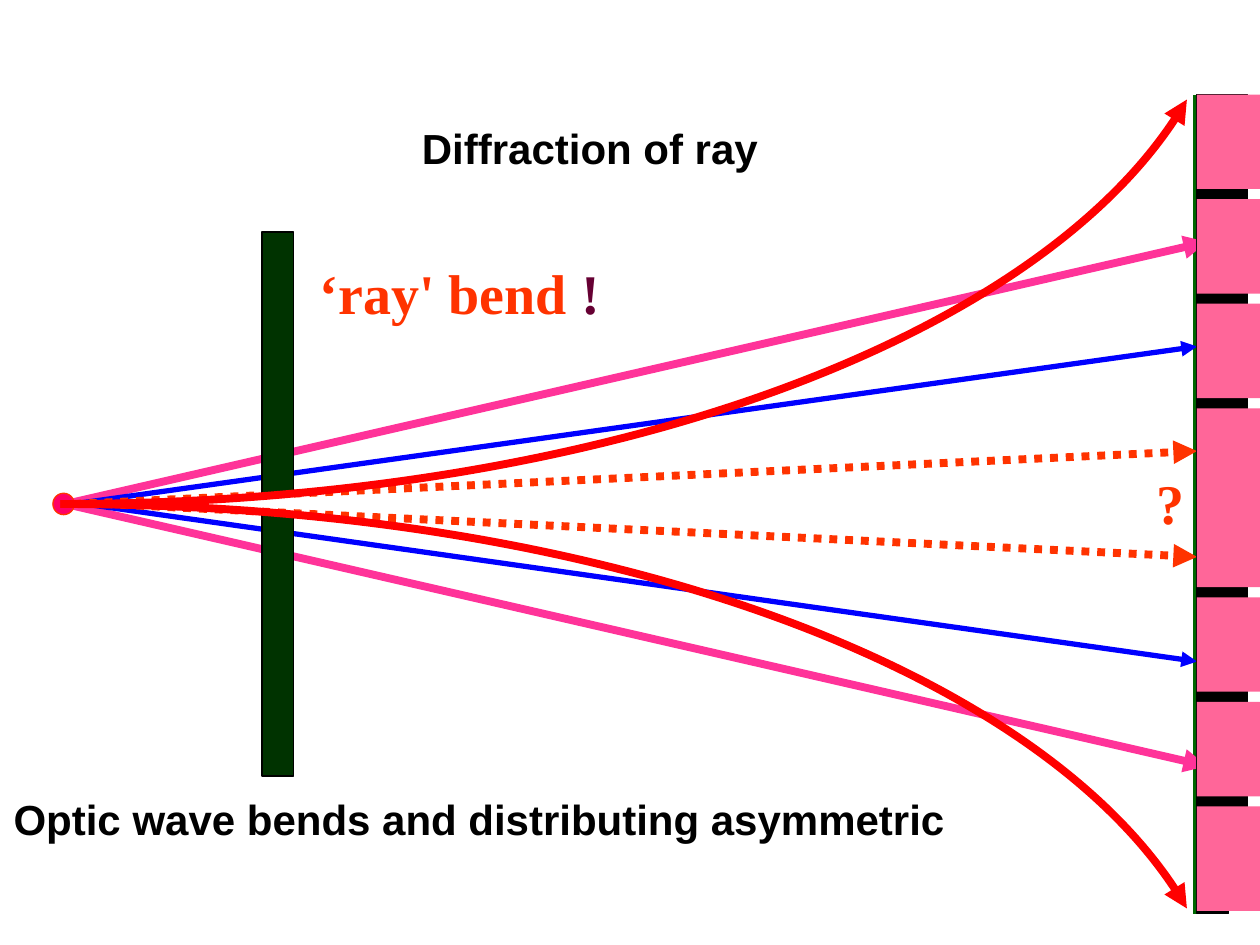
from lxml import etree
from pptx import Presentation
from pptx.dml.color import RGBColor
from pptx.enum.dml import MSO_LINE
from pptx.enum.shapes import MSO_CONNECTOR, MSO_SHAPE
from pptx.oxml.ns import qn
from pptx.util import Inches, Pt

STRAIGHT = MSO_CONNECTOR.STRAIGHT
RECTANGLE, OVAL = MSO_SHAPE.RECTANGLE, MSO_SHAPE.OVAL
DOTTED = MSO_LINE.ROUND_DOT

WIDTH, HEIGHT = 10, 7.5
AXIS = 4
SCREEN_X, SCREEN_TOP, SCREEN_BOTTOM = 9.5, 0.75, 7.25
SOURCE_SIZE = 0.17
SLIT_X, SLIT_WIDTH, SLIT_HEIGHT, SLIT_GAP = 2.08, 0.25, 2.08, 0.08
BAND_WIDTH, BAND_GAP = 0.5, 0.08
BAND_HEIGHTS = [0.75, 0.75, 0.75, 1.42, 0.75, 0.75, 0.83]
CURVE_START, CURVE_END, CURVE_RISE = 0.48, 9.42, 3.21
CURVE_CONTROLS = [(4.76, 0), (8.36, 1.36)]

RAYS = [
    (0.52, 0.52, 9.58, 2.08, "FF3399", 4.5, False),
    (0.58, 0.67, SCREEN_X, 1.25, "0000FF", 3, False),
    (0.58, 0.83, SCREEN_X, 0.42, "FF3300", 4.5, True),
]
SANS = {"name": "Arial", "size": Pt(24), "bold": True}
SERIF = {"name": "Times New Roman", "size": Pt(32), "bold": True}
TEXTS = [
    (3.25, 0.92, 3.75, 0.5, True, SANS, [("Diffraction of ray", "000000")]),
    (9.08, 3.67, 0.42, 0.63, False, SERIF, [("?", "FF3300")]),
    (2.44, 2, 4.23, 0.63, True, SERIF, [("‘ray' bend", "FF3300"), (" !", "660033")]),
    (0.01, 6.25, 8.66, 0.5, True, SANS,
     [("Optic wave bends and distributing asymmetric", "000000")]),
]


def color(value):
    return RGBColor.from_string(value)


def style_line(line, value, width):
    line.color.rgb = color(value)
    line.width = Pt(width)


def add_arrowhead(line):
    etree.SubElement(line._get_or_add_ln(), qn("a:tailEnd"), type="triangle")


def add_line(page, start, end, value, width, dotted=False, arrow=True):
    points = [Inches(number) for number in (*start, *end)]
    connector = page.shapes.add_connector(STRAIGHT, *points)
    style_line(connector.line, value, width)
    if dotted:
        connector.line.dash_style = DOTTED
    if arrow:
        add_arrowhead(connector.line)
    etree.SubElement(connector._element.spPr, qn("a:effectLst"))


def add_block(page, kind, place, fill, outline="000000"):
    shape = page.shapes.add_shape(kind, *[Inches(number) for number in place])
    shape.shadow.inherit = False
    shape.fill.solid()
    shape.fill.fore_color.rgb = color(fill)
    if outline:
        style_line(shape.line, outline, 0.75)
    else:
        shape.line.fill.background()


def add_curve(page, side):
    end_y = AXIS + side * CURVE_RISE
    builder = page.shapes.build_freeform(Inches(CURVE_START), Inches(AXIS))
    builder.add_line_segments([(Inches(CURVE_END), Inches(end_y))], close=False)
    shape = builder.convert_to_shape()
    shape.shadow.inherit = False
    shape.fill.background()
    style_line(shape.line, "FF0000", 4.5)
    add_arrowhead(shape.line)
    outline = next(shape._element.iter(qn("a:path")))
    outline.set("fill", "none")
    segment = outline.find(qn("a:lnTo"))
    segment.tag = qn("a:cubicBezTo")
    for index, (x, rise) in enumerate(CURVE_CONTROLS):
        point = etree.Element(qn("a:pt"))
        point.set("x", str(Inches(x) - shape.left))
        point.set("y", str(Inches(AXIS + side * rise) - shape.top))
        segment.insert(index, point)


def add_text(page, left, top, width, height, wrap, font, spans):
    box = page.shapes.add_textbox(*[Inches(n) for n in (left, top, width, height)])
    box.text_frame.word_wrap = wrap
    para = box.text_frame.paragraphs[0]
    for words, value in spans:
        span = para.add_run()
        span.text = words
        for name, setting in font.items():
            setattr(span.font, name, setting)
        span.font.color.rgb = color(value)


def add_screen(page):
    add_block(page, RECTANGLE, (SCREEN_X, 6.08, 0.25, SCREEN_BOTTOM - 6.08), "000000")
    add_block(page, RECTANGLE, (SCREEN_X, SCREEN_TOP, 0.4, 6.42), "000000")
    top = SCREEN_TOP
    for height in BAND_HEIGHTS:
        add_block(page, RECTANGLE, (SCREEN_X, top, BAND_WIDTH, height), "FF6699", None)
        top += height + BAND_GAP


def main():
    deck = Presentation()
    deck.slide_width, deck.slide_height = Inches(WIDTH), Inches(HEIGHT)
    page = deck.slides.add_slide(deck.slide_layouts[6])
    add_line(page, (SCREEN_X, SCREEN_TOP), (SCREEN_X, SCREEN_BOTTOM), "006600", 4.5,
             arrow=False)
    for upper_x, lower_x, end_x, spread, value, width, dotted in RAYS:
        for start_x, side in ((upper_x, -1), (lower_x, 1)):
            add_line(page, (start_x, AXIS), (end_x, AXIS + side * spread),
                     value, width, dotted)
    source = (0.42, AXIS - SOURCE_SIZE / 2, SOURCE_SIZE, SOURCE_SIZE)
    add_block(page, OVAL, source, "FF0066", "FF3300")
    for top in (AXIS - SLIT_GAP - SLIT_HEIGHT, AXIS + SLIT_GAP):
        add_block(page, RECTANGLE, (SLIT_X, top, SLIT_WIDTH, SLIT_HEIGHT), "003300")
    for side in (1, -1):
        add_curve(page, side)
    add_screen(page)
    for text in TEXTS:
        add_text(page, *text)
    deck.save("out.pptx")


if __name__ == "__main__":
    main()
